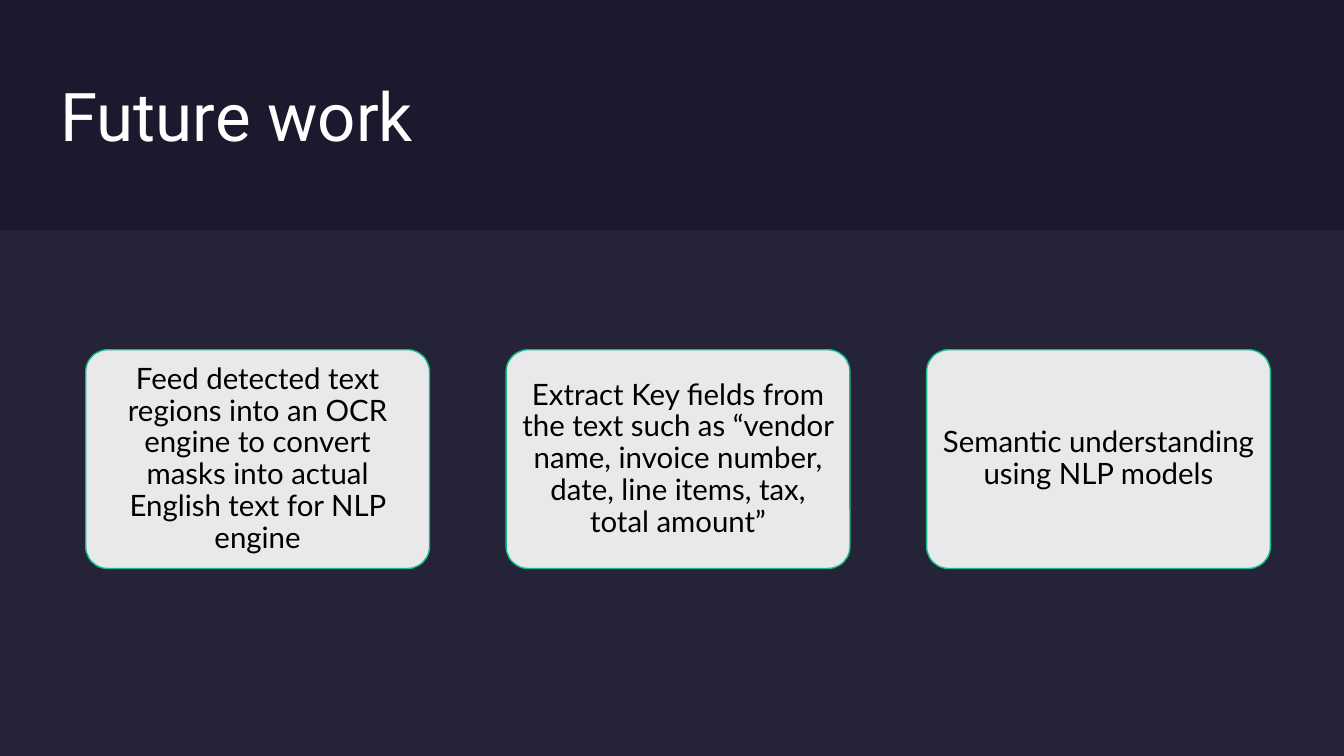
from lxml import etree
from pptx import Presentation
from pptx import util as u
from pptx.dml.color import RGBColor
from pptx.enum import shapes, text
from pptx.oxml.ns import qn

TITLE = "Future work"
STEPS = [
    "Feed detected text regions into an OCR engine to convert masks "
    "into actual English text for NLP engine",
    "Extract Key fields from the text such as “vendor name, invoice number, "
    "date, line items, tax, total amount”",
    "Semantic understanding using NLP models",
]

NAVY = RGBColor(0x1B, 0x19, 0x2E)
LAVENDER = RGBColor(0xE4, 0xE3, 0xF0)
WHITE = RGBColor(0xFF, 0xFF, 0xFF)
BLACK = RGBColor(0x00, 0x00, 0x00)
GREEN = RGBColor(0x13, 0xBE, 0x89)

WIDTH, HEIGHT = 13.33, 7.5
BAND_TOP = 2.28
CARD_LEFT, CARD_TOP, CARD_W, CARD_H = 0.85, 3.47, 3.41, 2.17
CARD_STEP = 4.17


def box(at):
    return [u.Inches(v) for v in at]


def add_panel(s, kind, at, color, opacity):
    """Add a borderless shape whose fill has the given opacity in percent."""
    sp = s.shapes.add_shape(kind, *box(at))
    sp.shadow.inherit = False
    sp.fill.solid()
    sp.fill.fore_color.rgb = color
    sp.line.fill.background()
    clr = sp._element.spPr.find(qn("a:solidFill"))[0]
    etree.SubElement(clr, qn("a:alpha"), val=str(opacity * 1000))
    return sp


def write(sp, words, font, size, color, inset):
    tf = sp.text_frame
    tf.word_wrap = True
    tf.vertical_anchor = text.MSO_ANCHOR.MIDDLE
    tf.margin_left = tf.margin_right = u.Inches(inset)
    tf.margin_top = tf.margin_bottom = u.Inches(inset)
    p = tf.paragraphs[0]
    r = p.add_run()
    r.text = words
    r.font.name, r.font.size = font, u.Pt(size)
    r.font.color.rgb = color
    return p


def add_card(s, column, words):
    left = CARD_LEFT + column * CARD_STEP
    sp = add_panel(s, shapes.MSO_SHAPE.ROUNDED_RECTANGLE,
                   (left, CARD_TOP, CARD_W, CARD_H), WHITE, 90)
    sp.adjustments[0] = 0.1
    sp.line.color.rgb = GREEN
    sp.line.width = u.Pt(1)
    p = write(sp, words, "Lato", 21, BLACK, 0.09)
    p.alignment = text.PP_ALIGN.CENTER
    p.line_spacing = 0.9
    p.space_before = u.Pt(8)


def main():
    prs = Presentation()
    prs.slide_width, prs.slide_height = box((WIDTH, HEIGHT))
    s = prs.slides.add_slide(prs.slide_layouts[6])
    s.background.fill.solid()
    s.background.fill.fore_color.rgb = NAVY

    title = s.shapes.add_textbox(*box((0.6, 0.6, 7.99, 1.08)))
    write(title, TITLE, "Roboto", 48, WHITE, 0)

    add_panel(s, shapes.MSO_SHAPE.RECTANGLE,
              (0, BAND_TOP, WIDTH, HEIGHT - BAND_TOP), LAVENDER, 5)
    for column, words in enumerate(STEPS):
        add_card(s, column, words)
    prs.save("out.pptx")


if __name__ == "__main__":
    main()
